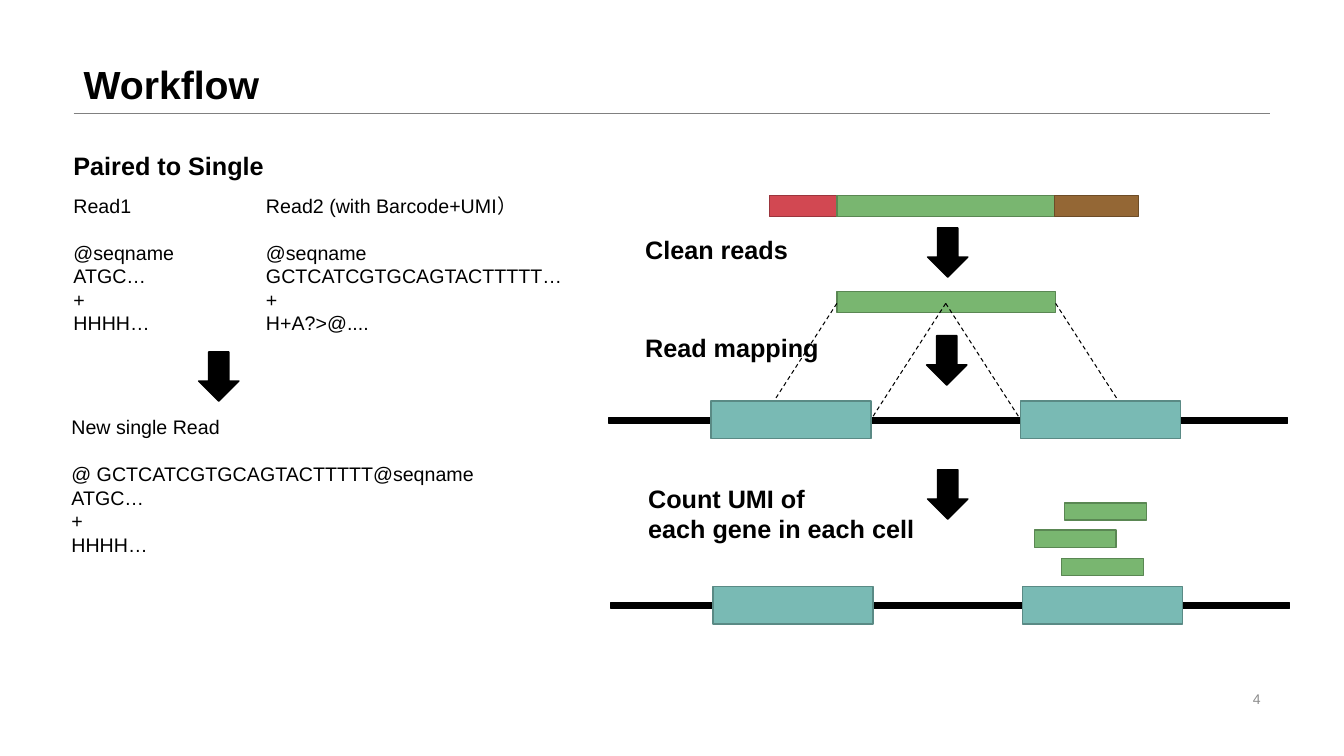
from dataclasses import dataclass

from lxml import etree
from pptx import Presentation
from pptx.dml.color import RGBColor
from pptx.enum.dml import MSO_LINE
from pptx.enum.shapes import MSO_CONNECTOR, MSO_SHAPE
from pptx.enum.text import MSO_ANCHOR, PP_ALIGN
from pptx.oxml.ns import qn
from pptx.util import Emu, Pt

RECTANGLE = MSO_SHAPE.RECTANGLE
DOWN_ARROW = MSO_SHAPE.DOWN_ARROW
STRAIGHT = MSO_CONNECTOR.STRAIGHT
DASH = MSO_LINE.DASH
TOP, MIDDLE, BOTTOM = MSO_ANCHOR.TOP, MSO_ANCHOR.MIDDLE, MSO_ANCHOR.BOTTOM
LEFT, RIGHT = PP_ALIGN.LEFT, PP_ALIGN.RIGHT


@dataclass(frozen=True)
class Theme:
    font: str = "Arial"
    black: str = "000000"
    rule: str = "808080"
    number: str = "8C8C8C"
    # Fill and outline pairs
    ink: tuple = ("000000", "000000")
    barcode: tuple = ("D24852", "9B353D")
    read: tuple = ("79B670", "5A8753")
    tail: tuple = ("946735", "6D4C27")
    gene: tuple = ("79BAB4", "5A8A85")
    title_size: int = 28
    heading_size: int = 18
    body_size: int = 14
    number_size: int = 10
    heading_line: float = 21.4
    body_line: float = 16.8


THEME = Theme()
EMU_PER_PX = 9144  # 100 px to the inch
SLIDE_SIZE = (1333, 750)

# Boxes are left, top, width, height
TITLE = ("Workflow", (73, 0, 1187, 112))
PAGE_NUMBER = ("4", (942, 682, 318, 23))
READ_LISTS = [
    ("Read1", ["@seqname", "ATGC…", "+", "HHHH…"], (63, 187, 267, 175)),
    ("Read2 (with Barcode+UMI）",
     ["@seqname", "GCTCATCGTGCAGTACTTTTT…", "+", "H+A?>@...."],
     (254, 187, 393, 151)),
    ("New single Read",
     ["@ GCTCATCGTGCAGTACTTTTT@seqname", "ATGC…", "+", "HHHH…"],
     (61, 407, 497, 175)),
]
HEADINGS = [
    (["Paired to Single"], (63, 144, 211, 40)),
    (["Clean reads"], (630, 228, 163, 40)),
    (["Read mapping"], (630, 325, 194, 40)),
    (["Count UMI of", "each gene in each cell"], (633, 475, 301, 71)),
]
READ_PARTS = [
    (THEME.barcode, (763, 194, 67, 21)),
    (THEME.read, (830, 194, 217, 21)),
    (THEME.tail, (1046, 194, 83, 21)),
]
CLEAN_READ = (830, 289, 217, 21)
MAPPING_TOP, MAPPING_BOTTOM = 301, 416
MAPPING_LINES = [(830, 756), (938, 864), (938, 1012), (1047, 1121)]
GENE_TRACKS = [(604, 398), (606, 582)]
TRACK_SIZE, TRACK_DROP = (673, 6), 16
GENE_SIZE, GENE_OFFSETS = (159, 37), (101, 408)
COUNTED_READS = [(1053, 554), (1026, 526), (1056, 499)]
COUNTED_SIZE = (81, 17)
ARROWS = [(197, 349), (920, 226), (919, 333), (920, 466)]
ARROW_SIZE = (40, 49)


def px(*lengths):
    return [Emu(length * EMU_PER_PX) for length in lengths]


def color(value):
    return RGBColor.from_string(value)


def write(shape, lines, size, ink=THEME.black, bold=False, align=LEFT,
          anchor=TOP, wrap=True, spacing=None, gap_after_first=0):
    """Fill a shape with one formatted paragraph for each line."""
    frame = shape.text_frame
    frame.word_wrap = wrap
    frame.vertical_anchor = anchor
    for index, line in enumerate(lines):
        para = frame.add_paragraph() if index else frame.paragraphs[0]
        para.alignment = align
        para.line_spacing = spacing
        para.space_before = Pt(gap_after_first if index == 1 else 0)
        span = para.add_run()
        span.text = line
        span.font.name = THEME.font
        span.font.size = Pt(size)
        span.font.bold = bold
        span.font.color.rgb = color(ink)


def add_text(page, box, lines, size, **style):
    write(page.shapes.add_textbox(*px(*box)), lines, size, **style)


def add_block(page, box, colors, kind=RECTANGLE):
    block = page.shapes.add_shape(kind, *px(*box))
    fill, outline = colors
    block.shadow.inherit = False
    block.fill.solid()
    block.fill.fore_color.rgb = color(fill)
    block.line.color.rgb = color(outline)
    block.line.width = Pt(1)


def add_line(page, ends, ink, width, dash=None):
    line = page.shapes.add_connector(STRAIGHT, *px(*ends))
    line.line.color.rgb = color(ink)
    line.line.width = Pt(width)
    if dash:
        line.line.dash_style = dash
    etree.SubElement(line._element.spPr, qn("a:effectLst"))


def draw_frame(page):
    text, box = TITLE
    title = page.shapes.title
    title.left, title.top, title.width, title.height = px(*box)
    write(title, [text], THEME.title_size, bold=True, anchor=BOTTOM,
          spacing=0.9)
    left, top, width, height = box
    add_line(page, (left, top + height, left + width, top + height),
             THEME.rule, 0.25)
    number, box = PAGE_NUMBER
    add_text(page, box, [number], THEME.number_size, ink=THEME.number,
             align=RIGHT, anchor=MIDDLE)


def draw_track(page, left, top):
    add_block(page, (left, top + TRACK_DROP, *TRACK_SIZE), THEME.ink)


def draw_genes(page, left, top):
    for offset in GENE_OFFSETS:
        add_block(page, (left + offset, top, *GENE_SIZE), THEME.gene)


def draw_mapping(page):
    for colors, box in READ_PARTS:
        add_block(page, box, colors)
    add_block(page, CLEAN_READ, THEME.read)
    for track in GENE_TRACKS:
        draw_track(page, *track)
    for start, end in MAPPING_LINES:
        add_line(page, (start, MAPPING_TOP, end, MAPPING_BOTTOM),
                 THEME.black, 0.75, DASH)
    for track in GENE_TRACKS:
        draw_genes(page, *track)
    for corner in COUNTED_READS:
        add_block(page, (*corner, *COUNTED_SIZE), THEME.read)


def draw_labels(page):
    for name, lines, box in READ_LISTS:
        add_text(page, box, [name, *lines], THEME.body_size,
                 spacing=Pt(THEME.body_line),
                 gap_after_first=THEME.body_line)
    for corner in ARROWS:
        add_block(page, (*corner, *ARROW_SIZE), THEME.ink, DOWN_ARROW)
    for lines, box in HEADINGS:
        add_text(page, box, lines, THEME.heading_size, bold=True, wrap=False,
                 spacing=Pt(THEME.heading_line))


def main():
    deck = Presentation()
    deck.slide_width, deck.slide_height = px(*SLIDE_SIZE)
    page = deck.slides.add_slide(deck.slide_layouts.get_by_name("Title Only"))
    draw_frame(page)
    draw_mapping(page)
    draw_labels(page)
    deck.save("out.pptx")


if __name__ == "__main__":
    main()
